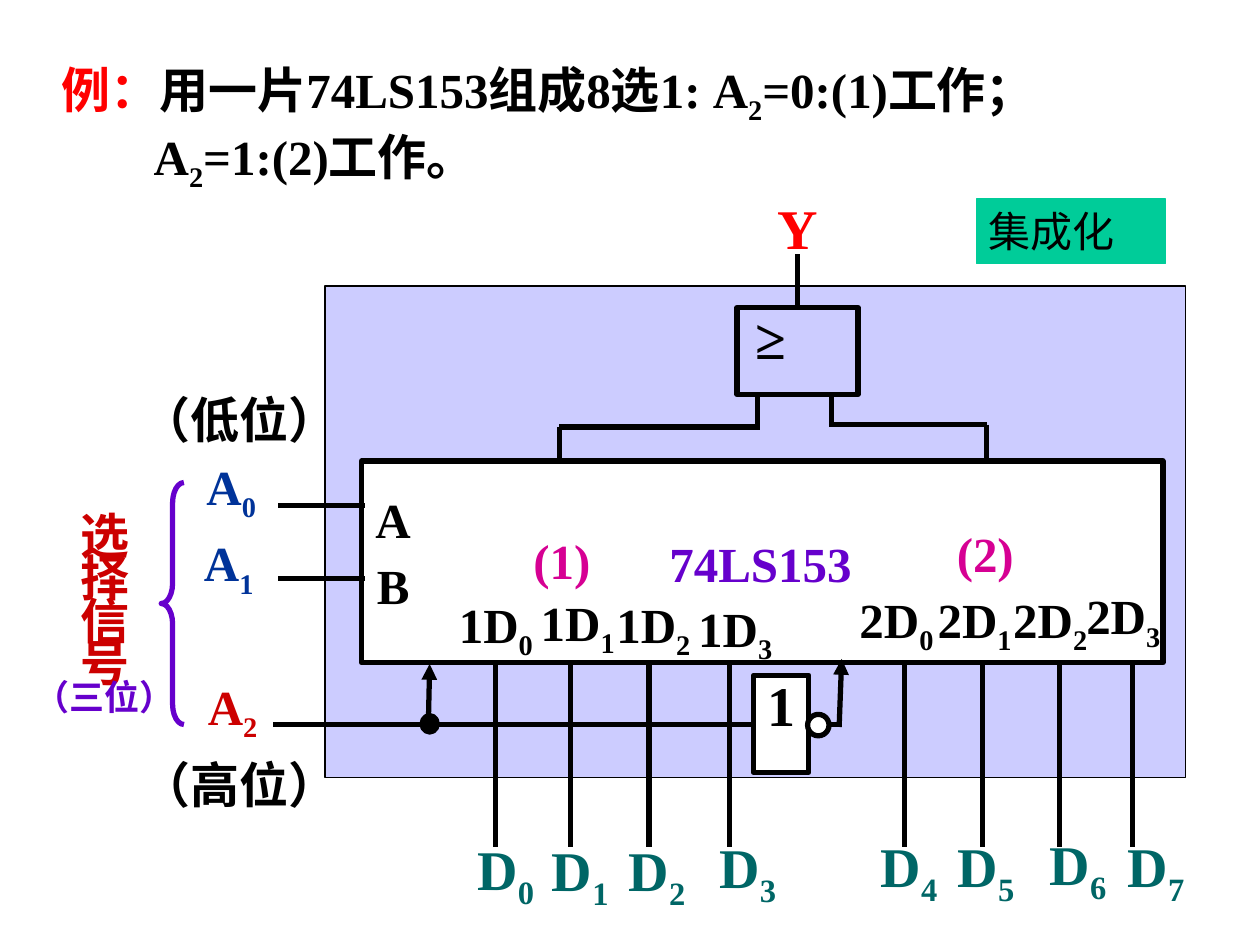
from pptx import Presentation
from pptx import util as u
from pptx.dml.color import RGBColor
from pptx.enum import shapes, text
from pptx.oxml import parse_xml
from pptx.oxml.ns import nsdecls, qn
from lxml import etree

BLACK = RGBColor(0, 0, 0)
WHITE = RGBColor(255, 255, 255)
RED = RGBColor(255, 0, 0)
CRIMSON = RGBColor(0xCC, 0, 0)
LILAC = RGBColor(0xCC, 0xCC, 0xFF)
TEAL = RGBColor(0, 0x66, 0x66)
VIOLET = RGBColor(0x66, 0, 0xCC)
PINK = RGBColor(0xD6, 0, 0x93)
NAVY = RGBColor(0, 0x33, 0x99)
GREEN = RGBColor(0, 0xCC, 0x99)
FONT = "Times New Roman"
FORM = shapes.MSO_SHAPE
MID = text.MSO_ANCHOR.MIDDLE
TOP = text.MSO_ANCHOR.TOP
LEFT = text.PP_ALIGN.LEFT
CENTER = text.PP_ALIGN.CENTER


def fill(par, words, size=28, color=BLACK, bold=True):
    """Add runs to a paragraph; the character after each underscore is a subscript."""
    head, *rest = words.split("_")
    parts = [(head, False)]
    for bit in rest:
        parts += [(bit[0], True), (bit[1:], False)]
    for part, sub in parts:
        if not part:
            continue
        run = par.add_run()
        run.text = part
        run.font.name = FONT
        run.font.size = u.Pt(size)
        run.font.bold = bold
        run.font.color.rgb = color
        if sub:
            run._r.get_or_add_rPr().set("baseline", "-25000")


def say(page, x, y, w, h, words, align=CENTER, anchor=MID, **form):
    """Place one line of formatted text in a text box."""
    box = page.shapes.add_textbox(*map(u.Inches, (x, y, w, h)))
    frame = box.text_frame
    frame.word_wrap = False
    frame.vertical_anchor = anchor
    par = frame.paragraphs[0]
    par.alignment = align
    fill(par, words, **form)


def draw(page, x, y, w, h, kind=FORM.RECTANGLE, paint=None, line=BLACK, thick=3):
    """Place a preset shape without shadow."""
    shape = page.shapes.add_shape(kind, *map(u.Inches, (x, y, w, h)))
    shape.shadow.inherit = False
    if paint is None:
        shape.fill.background()
    else:
        shape.fill.solid()
        shape.fill.fore_color.rgb = paint
    shape.line.color.rgb = line
    shape.line.width = u.Pt(thick)
    return shape


def wire(page, x, y, ex, ey, arrow=False):
    """Place a straight black wire, with an arrowhead at its end if asked."""
    line = page.shapes.add_connector(
        shapes.MSO_CONNECTOR.STRAIGHT, *map(u.Inches, (x, y, ex, ey)))
    line.line.color.rgb = BLACK
    line.line.width = u.Pt(3)
    if arrow:
        ln = line.line._get_or_add_ln()
        etree.SubElement(ln, qn("a:tailEnd"), type="triangle")
    line._element.spPr.append(parse_xml("<a:effectLst %s/>" % nsdecls("a")))
    return line


def head(page, x, y, w, h):
    """Set the title with its hanging indent."""
    title = page.shapes.title
    title.left, title.top, title.width, title.height = map(u.Inches, (x, y, w, h))
    frame = title.text_frame
    frame.word_wrap = True
    frame.auto_size = text.MSO_AUTO_SIZE.NONE
    frame.vertical_anchor = MID
    par = frame.paragraphs[0]
    par.alignment = LEFT
    prop = par._p.get_or_add_pPr()
    prop.set("marL", str(u.Inches(0.73)))
    prop.set("indent", str(u.Inches(-0.73)))
    fill(par, "例：", color=RED)
    fill(par, "用一片74LS153组成8选1: A_2=0:(1)工作； A_2=1:(2)工作。")


def pins(page, x, y):
    """Draw the eight data wires and their names."""
    spots = [(0, -0.25, 1.36), (0.6, 0.34, 1.37), (1.22, 0.95, 1.37),
             (1.86, 1.67, 1.35), (3.25, 2.95, 1.34), (3.87, 3.56, 1.34),
             (4.48, 4.29, 1.32), (5.06, 4.91, 1.34)]
    for i, (pin, name, drop) in enumerate(spots):
        wire(page, x + pin, y, x + pin, y + 1.47)
        say(page, x + name, y + drop, 0.67, 0.63, f"D_{i}", size=32, color=TEAL)


def gate(page, x, y):
    """Draw the OR gate, its output Y and its two input wires."""
    body = draw(page, x + 1.41, y + 0.95, 0.96, 0.69)
    out = wire(page, x + 1.89, y + 0.95, x + 1.89, y + 0.53)
    out.begin_connect(body, 0)
    say(page, x + 1.46, y + 0.87, 0.49, 0.63, "≥", LEFT, TOP, size=32)
    say(page, x + 1.63, y, 0.52, 0.63, "Y", size=32, color=RED)
    for port, end, level in ((1.57, 0, 1.9), (2.16, 3.39, 1.88)):
        wire(page, x + port, y + 1.64, x + port, y + level + 0.02)
        wire(page, x + port, y + level, x + end, y + level)
        wire(page, x + end, y + level, x + end, y + 2.17)


def chip(page, x, y, w, h):
    """Draw the chip and the names of its ports."""
    draw(page, x, y, w, h, paint=WHITE)
    ports = [(0.66, 1.04), (1.31, 1.02), (1.91, 1.04), (2.56, 1.07),
             (3.84, 1), (4.46, 1), (5.06, 1), (5.64, 0.97)]
    for i, (px, py) in enumerate(ports):
        say(page, x + px, y + py, 0.81, 0.57, f"{i // 4 + 1}D_{i % 4}")
    say(page, x + 1.59, y + 0.52, 3.15, 0.57, "74LS153", color=VIOLET)
    say(page, x + 1.26, y + 0.5, 0.66, 0.57, "(1)", color=PINK)
    say(page, x + 4.62, y + 0.44, 0.66, 0.57, "(2)", color=PINK)
    say(page, x + 0.01, y + 0.17, 0.48, 0.57, "A")
    say(page, x + 0.02, y + 0.7, 0.46, 0.57, "B")


def label(page, x, y, w, h):
    """Write the stacked caption of the select signals."""
    box = page.shapes.add_textbox(*map(u.Inches, (x, y, w, h)))
    frame = box.text_frame
    frame.word_wrap = True
    frame.vertical_anchor = TOP
    frame.margin_top = u.Inches(0.54)
    frame.margin_bottom = 0
    rows = [(sign, 28, CRIMSON, 24.3) for sign in "选择信号"]
    rows.append(("（三位）", 20, VIOLET, 15))
    for i, (words, size, color, pitch) in enumerate(rows):
        par = frame.add_paragraph() if i else frame.paragraphs[0]
        par.alignment = CENTER
        par.line_spacing = u.Pt(pitch)
        fill(par, words, size=size, color=color)


def select(page, x, y):
    """Draw the select inputs, their brace and the inverter."""
    for name, px, py, color in (("A_0", 1.45, 0.56, NAVY), ("A_1", 1.43, 1.17, NAVY),
                                ("A_2", 1.46, 2.31, CRIMSON)):
        say(page, x + px, y + py, 0.61, 0.57, name, color=color)
    for name, py in (("（低位）", 0), ("（高位）", 2.9)):
        say(page, x + 0.93, y + py, 1.78, 0.57, name)
    for py in (0.97, 1.55):
        wire(page, x + 2.13, y + py, x + 2.82, y + py)
    label(page, x, y + 0.56, 1.5, 2.15)
    brace = draw(page, x + 1.2, y + 0.79, 0.18, 1.92, FORM.LEFT_BRACE, line=VIOLET)
    brace.adjustments[0] = 0.89
    brace.adjustments[1] = 0.5
    wire(page, x + 2.09, y + 2.71, x + 6.6, y + 2.71)
    wire(page, x + 3.32, y + 2.69, x + 3.33, y + 2.23, arrow=True)
    wire(page, x + 6.58, y + 2.73, x + 6.6, y + 2.19, arrow=True)
    draw(page, x + 3.27, y + 2.64, 0.12, 0.13, FORM.OVAL, paint=BLACK)
    draw(page, x + 5.9, y + 2.32, 0.44, 0.77, paint=WHITE)
    draw(page, x + 6.33, y + 2.63, 0.17, 0.17, FORM.OVAL, paint=WHITE)
    say(page, x + 5.91, y + 2.23, 0.42, 0.63, "1", size=32)


def badge(page, x, y, w, h):
    """Draw the green tag."""
    tag = draw(page, x, y, w, h, paint=GREEN, line=GREEN, thick=0.75)
    tag.text_frame.vertical_anchor = TOP
    par = tag.text_frame.paragraphs[0]
    par.alignment = LEFT
    fill(par, "集成化", size=24, bold=False)


def main():
    """Build and save the slide."""
    deck = Presentation()
    deck.slide_width, deck.slide_height = u.Inches(10), u.Inches(7.5)
    page = deck.slides.add_slide(deck.slide_layouts[5])
    draw(page, 2.58, 2.27, 6.83, 3.9, paint=LILAC, thick=0.75)
    head(page, 0.39, 0.56, 8.04, 0.89)
    pins(page, 3.93, 5.25)
    gate(page, 4.44, 1.49)
    chip(page, 2.87, 3.66, 6.36, 1.6)
    select(page, 0.08, 3.04)
    badge(page, 7.75, 1.58, 1.5, 0.51)
    deck.save("out.pptx")


if __name__ == "__main__":
    main()
